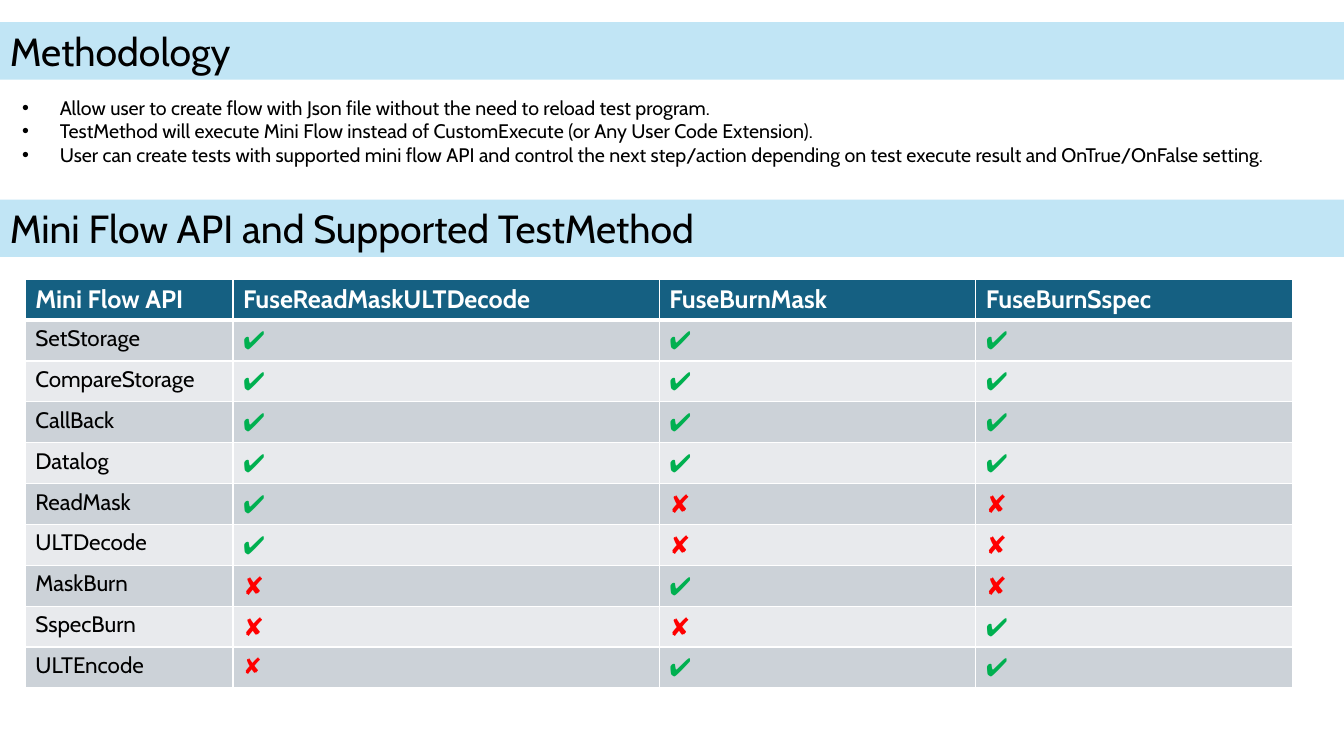
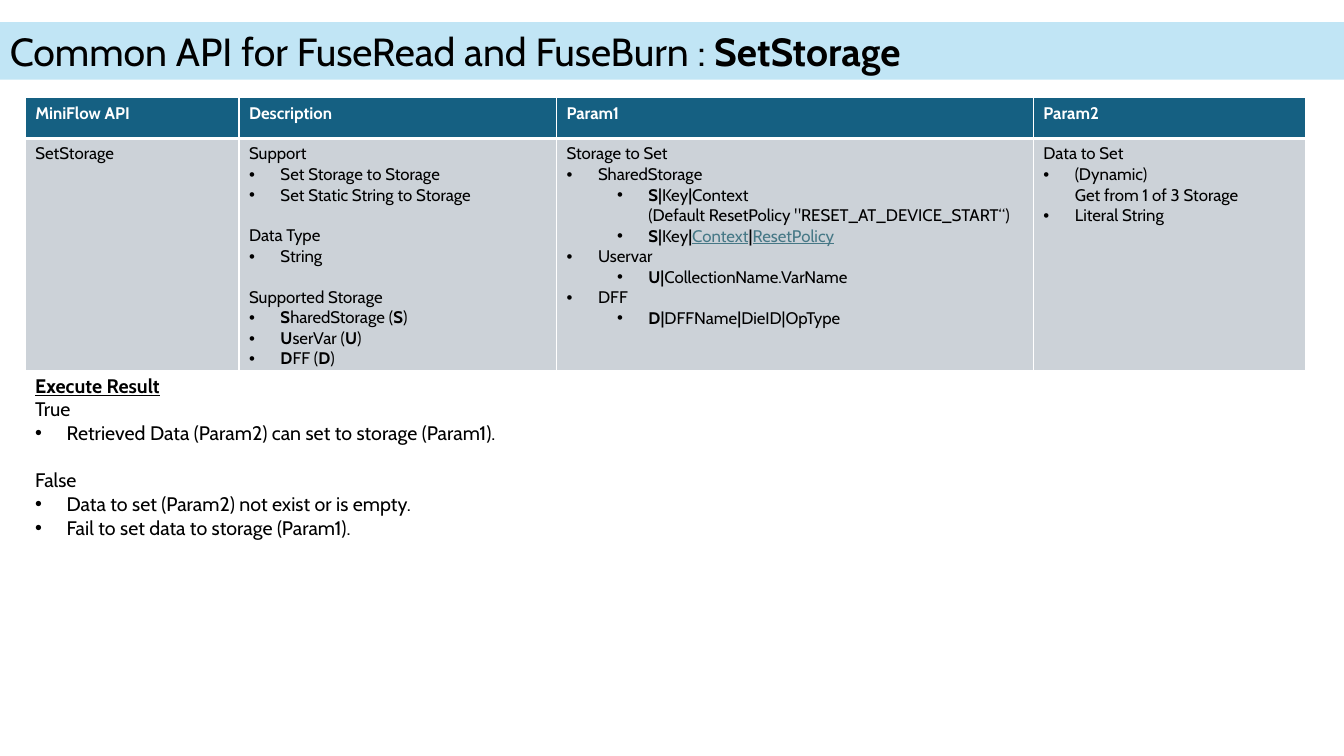
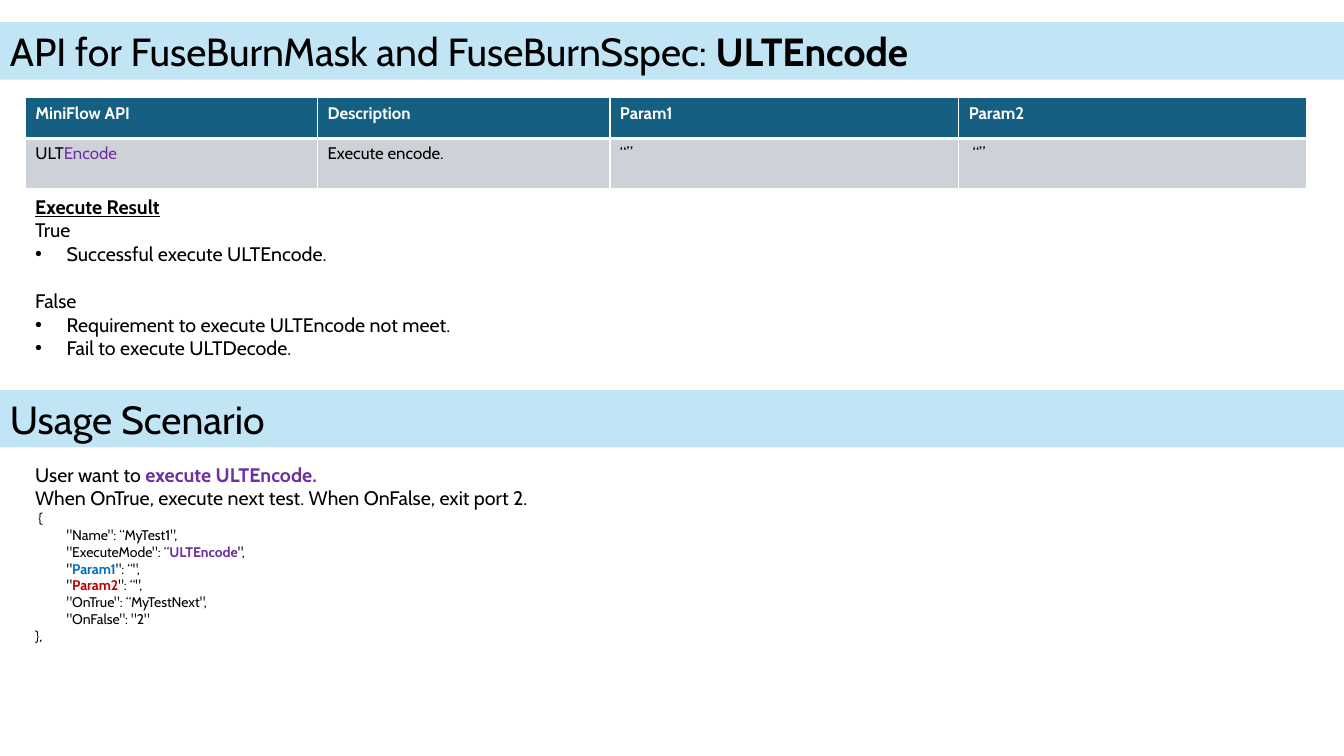
from copy import deepcopy

from lxml.etree import SubElement
from pptx import Presentation
from pptx.dml.color import RGBColor
from pptx.enum.shapes import MSO_SHAPE as Shape
from pptx.enum.text import MSO_ANCHOR as Anchor, PP_ALIGN as Align
from pptx.oxml.ns import qn
from pptx.util import Inches, Pt

BLACK, WHITE = "000000", "FFFFFF"
BAND, HEADER, ROWS = "C1E5F5", "156082", ("CCD2D8", "E8EAED")
PURPLE, BLUE, RED, LINK = "7030A0", "0070C0", "C00000", "467886"
FONT, MARK_FONT = "Cabin", "Lato"
LINE_HEIGHT = 1.22                       # of the text size
LEFT, WIDTH, TOP = 1.88, 95.25, 12.93    # percent of the slide
BAND_TOP, BAND_HEIGHT, ROW = 2.93, 7.6, 5.41
HANG, LEVEL_STEP = 2.34, 3.75


def colour(code):
    return RGBColor.from_string(code)


def piece(text, **style):
    """A stretch of text with its own format."""
    return text, style


def line(*pieces, level=None, gap=False, **style):
    """A paragraph: *stars* mark bold, a level makes a bullet, gap leaves a line free."""
    return {"pieces": pieces, "level": level, "gap": gap, "style": style}


def bullet(*pieces, level=0):
    return line(*pieces, level=level)


def add_run(paragraph, text, size=14, font=FONT, color=BLACK, bold=False, underline=False):
    for index, part in enumerate(text.split("\n")):
        if index:
            paragraph.add_line_break()
            paragraph._p[-1].append(deepcopy(run._r.rPr))
        run = paragraph.add_run()
        run.text = part
        run.font.size, run.font.name = Pt(size), font
        run.font.bold, run.font.underline = bold, underline
        run.font.color.rgb = colour(color)


class Deck:
    def __init__(self):
        self.presentation = Presentation()
        self.presentation.slide_width = Inches(13.33)
        self.presentation.slide_height = Inches(7.5)
        self.slide = None

    def x(self, percent):
        return round(self.presentation.slide_width * percent / 100)

    def y(self, percent):
        return round(self.presentation.slide_height * percent / 100)

    def box(self, left, top, width, height):
        return self.x(left), self.y(top), self.x(width), self.y(height)

    def new_slide(self, *title):
        self.slide = self.presentation.slides.add_slide(self.presentation.slide_layouts[6])
        self.band(BAND_TOP, *title)

    def fill_text(self, frame, lines, hang=HANG, **style):
        frame.word_wrap = True
        for index, entry in enumerate(lines):
            paragraph = frame.paragraphs[0] if index == 0 else frame.add_paragraph()
            paragraph.alignment = Align.LEFT
            line_style = {**style, **entry["style"]}
            if entry["gap"]:
                paragraph.space_before = Pt(round(line_style["size"] * LINE_HEIGHT, 1))
            if entry["level"] is not None:
                self.add_bullet(paragraph, entry["level"], hang)
            for part in entry["pieces"]:
                if isinstance(part, tuple):
                    add_run(paragraph, part[0], **{**line_style, **part[1]})
                    continue
                for number, text in enumerate(part.split("*")):
                    if text:
                        emphasis = {"bold": True} if number % 2 else {}
                        add_run(paragraph, text, **{**line_style, **emphasis})

    def add_bullet(self, paragraph, level, hang):
        paragraph.level = level
        properties = paragraph._p.get_or_add_pPr()
        properties.set("marL", str(self.x(hang + level * LEVEL_STEP)))
        properties.set("indent", str(-self.x(hang)))
        SubElement(properties, qn("a:buFont")).set("typeface", "Arial")
        SubElement(properties, qn("a:buChar")).set("char", "•")

    def band(self, top, *pieces):
        shape = self.slide.shapes.add_shape(Shape.RECTANGLE, *self.box(0, top, 100, BAND_HEIGHT))
        shape.shadow.inherit = False
        shape.fill.solid()
        shape.fill.fore_color.rgb = colour(BAND)
        shape.line.fill.background()
        shape.text_frame.vertical_anchor = Anchor.MIDDLE
        self.fill_text(shape.text_frame, [line(*pieces)], size=28)

    def text(self, left, top, width, height, lines, **style):
        shape = self.slide.shapes.add_textbox(*self.box(left, top, width, height))
        self.fill_text(shape.text_frame, lines, **{"size": 14, **style})

    def border(self, cell, top, bottom):
        properties = cell._tc.get_or_add_tcPr()
        for side, width in (("L", 1), ("R", 1), ("T", top), ("B", bottom)):
            edge = SubElement(properties, qn(f"a:ln{side}"), w=str(Pt(width)))
            fill = SubElement(edge, qn("a:solidFill"))
            SubElement(fill, qn("a:srgbClr")).set("val", WHITE)

    def table(self, top, columns, heights, rows, header_size=12, size=12):
        """The first row is the header; a cell is a string or a list of lines."""
        frame = self.slide.shapes.add_table(
            len(rows), len(columns), *self.box(LEFT, top, sum(columns), sum(heights)))
        table = frame.table
        for column, width in zip(table.columns, columns):
            column.width = self.x(width)
        for index, (row, height, values) in enumerate(zip(table.rows, heights, rows)):
            row.height = self.y(height)
            is_header = index == 0
            style = (dict(size=header_size, color=WHITE, bold=True) if is_header
                     else dict(size=size))
            for cell, value in zip(row.cells, values):
                self.border(cell, 3 if index == 1 else 1, 3 if is_header else 1)
                cell.fill.solid()
                cell.fill.fore_color.rgb = colour(HEADER if is_header else ROWS[(index - 1) % 2])
                lines = [line(value)] if isinstance(value, str) else value
                self.fill_text(cell.text_frame, lines, **style)

    def execute_result(self, top, success, failures):
        self.text(LEFT, top, WIDTH, 23.33, [
            line("Execute Result", bold=True, underline=True),
            line("True"), bullet(success),
            line("False", gap=True), *map(bullet, failures)])


API_HEADER = ["MiniFlow API", "Description", "Param1", "Param2"]
YES = dict(text="✔", color="00B050", size=18)
NO = dict(text="✘", color="FF0000", size=18)
MARKS = {"y": YES, "n": NO, "s": {**NO, "size": 16}}
SUPPORT = {
    "SetStorage": "yyy", "CompareStorage": "yyy", "CallBack": "yyy",
    "Datalog": "yyy", "ReadMask": "ynn", "ULTDecode": "ynn",
    "MaskBurn": "nyn", "SspecBurn": "nny", "ULTEncode": "syy",
}


def methodology(deck):
    deck.new_slide("Methodology")
    deck.text(0.9, 12, 96.25, 10.8, [
        bullet("Allow user to create flow with Json file without the need to reload test program."),
        bullet("TestMethod will execute Mini Flow instead of CustomExecute "
               "(or Any User Code Extension)."),
        bullet("User can create tests with supported mini flow API and control the next "
               "step/action depending on test execute result and OnTrue/OnFalse setting."),
    ], hang=2.81)
    deck.band(26.4, "Mini Flow API and Supported TestMethod")
    rows = [["Mini Flow API", "FuseReadMaskULTDecode", "FuseBurnMask", "FuseBurnSspec"]]
    for name, marks in SUPPORT.items():
        rows.append([name] + [[line(piece(font=MARK_FONT, **MARKS[mark]))] for mark in marks])
    deck.table(36.93, [15.45, 31.73, 23.55, 23.55], [ROW] * len(rows), rows,
               header_size=18, size=16)


def set_storage(deck):
    deck.new_slide("Common API for FuseRead and FuseBurn : *SetStorage*")
    description = [
        line("Support"),
        bullet("Set Storage to Storage"),
        bullet("Set Static String to Storage"),
        line("Data Type", gap=True),
        bullet("String"),
        line("Supported Storage", gap=True),
        bullet("*S*haredStorage (*S*)"),
        bullet("*U*serVar (*U*)"),
        bullet("*D*FF (*D*)"),
    ]
    link = dict(color=LINK, underline=True)
    target = [
        line("Storage to Set"),
        bullet("SharedStorage"),
        bullet("*S|*Key*|*Context\n(Default ResetPolicy \"RESET_AT_DEVICE_START“)", level=1),
        bullet("*S|*Key*|*", piece("Context", **link), "*|*",
               piece("ResetPolicy", **link), level=1),
        bullet("Uservar"),
        bullet("*U|*CollectionName.VarName", level=1),
        bullet("DFF"),
        bullet("*D|*DFFName*|*DieID|OpType", level=1),
    ]
    data = [
        line("Data to Set"),
        bullet("(Dynamic)\nGet from 1 of 3 Storage"),
        bullet("Literal String"),
    ]
    deck.table(TOP, [15.9, 23.63, 35.48, 20.25], [ROW, 30.67],
               [API_HEADER, ["SetStorage", description, target, data]])
    deck.execute_result(48.8, "Retrieved Data (Param2) can set to storage (Param1).", [
        "Data to set (Param2) not exist or is empty.",
        "Fail to set data to storage (Param1)."])


def ult_encode(deck):
    deck.new_slide("API for FuseBurnMask and FuseBurnSspec: *ULTEncode*")
    name = [line("ULT", piece("Encode", color=PURPLE))]
    deck.table(TOP, [21.75, 21.75, 25.95, 25.88], [ROW, 6.67],
               [API_HEADER, [name, "Execute encode.", "“”", " “”"]])
    deck.execute_result(25.07, "Successful execute ULTEncode.", [
        "Requirement to execute ULTEncode not meet.",
        "Fail to execute ULTDecode."])

    # Usage example with its code
    deck.band(51.6, "Usage Scenario")
    purple, blue, red = (dict(color=shade, bold=True) for shade in (PURPLE, BLUE, RED))
    code = [
        [" {"],
        ['          "Name": “MyTest1",'],
        ['          "ExecuteMode": “', piece("ULTEncode", **purple), '",'],
        ['          "', piece("Param1", **blue), '": “",'],
        ['          "', piece("Param2", **red), '": “",'],
        ['          "OnTrue": “MyTestNext",'],
        ['          "OnFalse": "2"'],
        ["},"],
    ]
    deck.text(LEFT, 60.53, WIDTH, 25.6, [
        line("User want to ", piece("execute ULTEncode.", **purple)),
        line("When OnTrue, execute next test. When OnFalse, exit port 2."),
        *(line(*pieces, size=10) for pieces in code)])


def main():
    deck = Deck()
    for build in (methodology, set_storage, ult_encode):
        build(deck)
    deck.presentation.save("out.pptx")


if __name__ == "__main__":
    main()
